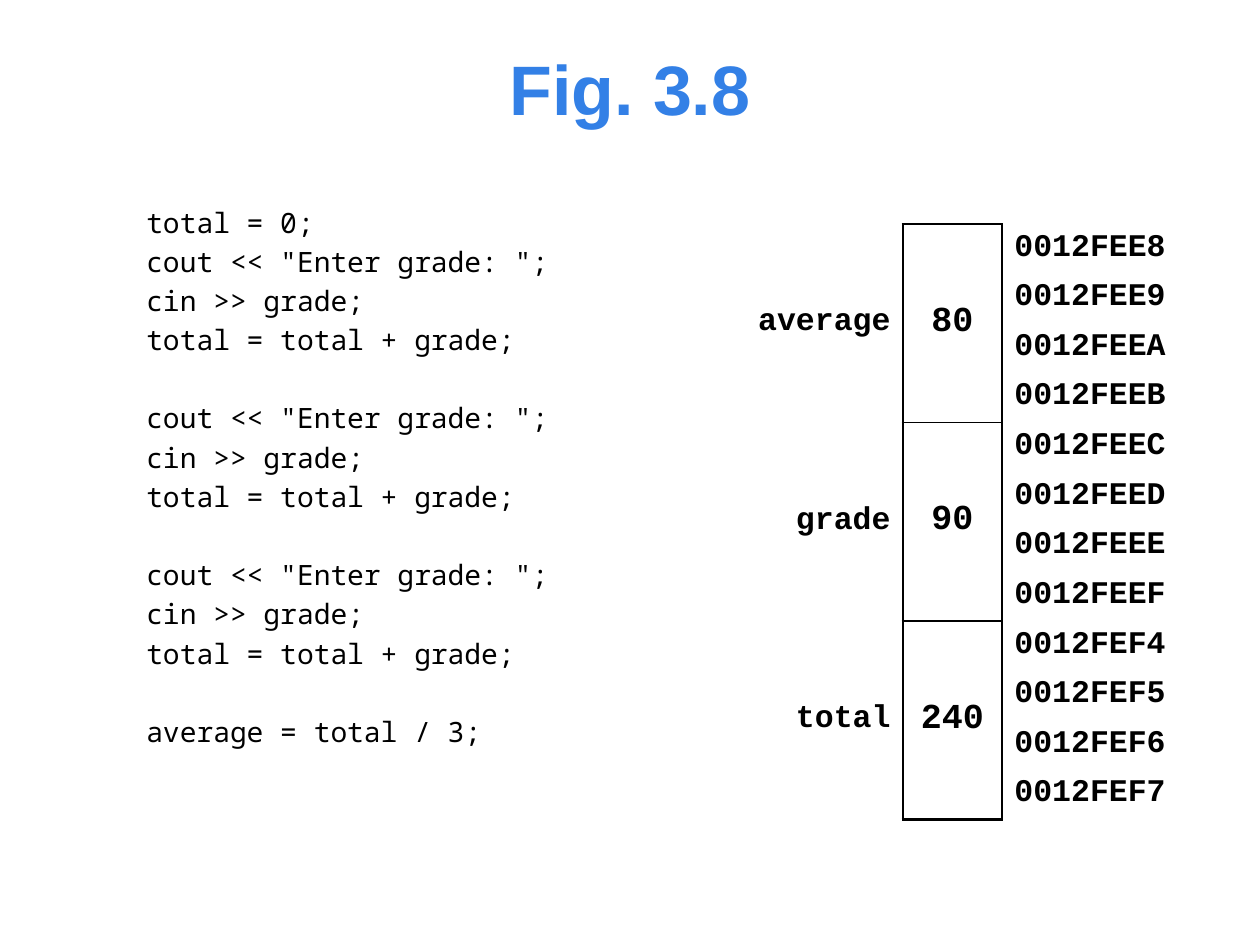
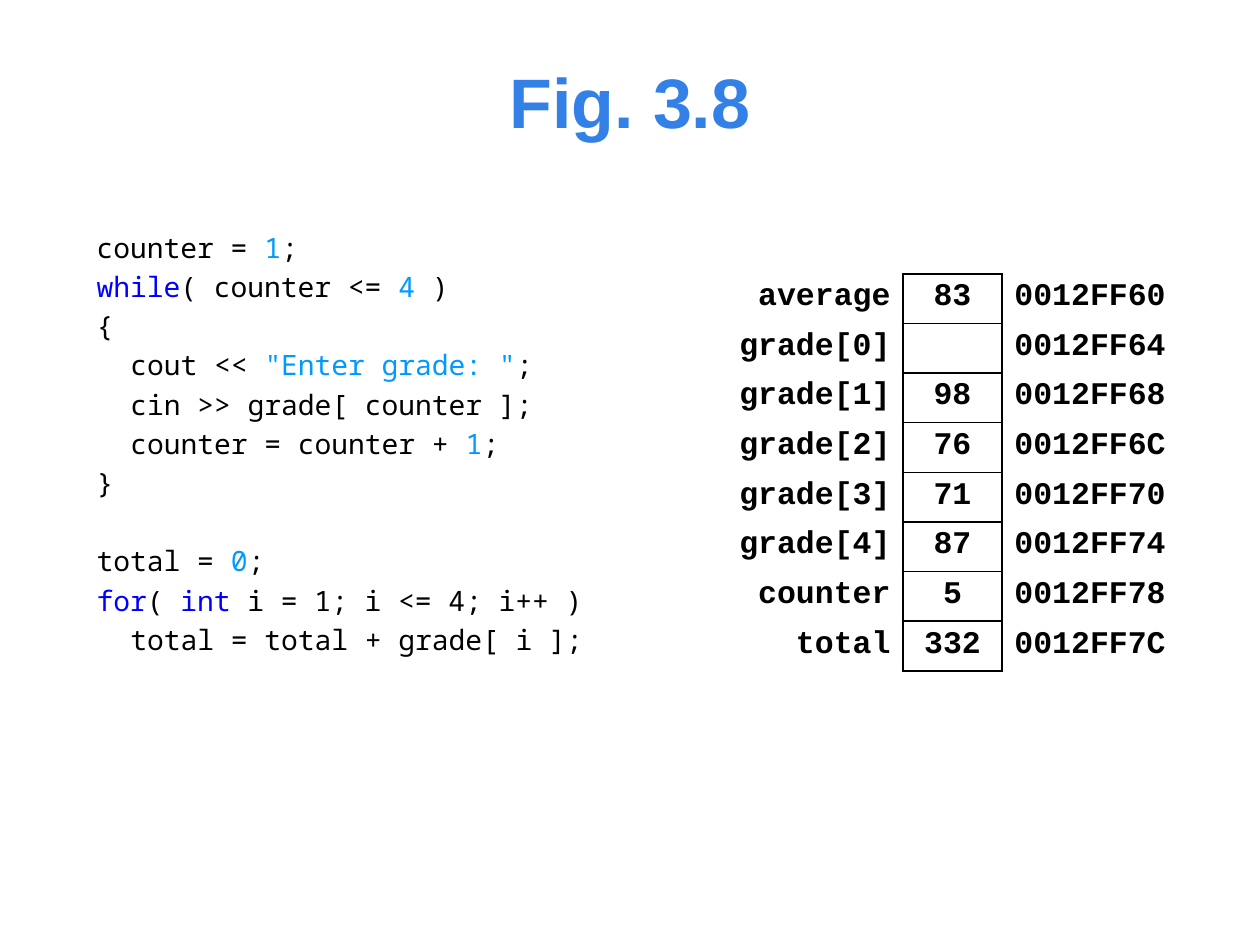
"""Build two slides that show C++ code beside the memory cells it fills."""
import lxml.etree
import pptx
import pptx.dml.color
import pptx.enum.text
import pptx.oxml.ns
import pptx.util

Cm = pptx.util.Cm
Pt = pptx.util.Pt
ALIGN = pptx.enum.text.PP_ALIGN
MIDDLE = pptx.enum.text.MSO_ANCHOR.MIDDLE
qn = pptx.oxml.ns.qn

BLACK, TITLE_BLUE, KEYWORD, LITERAL = "000000", "3380E6", "0000FF", "0099FF"
NO_STYLE = "{2D5ABB26-0587-4C30-8999-92F81FD0307C}"
INDENT_STEP = Cm(0.34)
ROW_HEIGHT = Cm(1)
LINE_GAP = 3.2
BLANK_LINE = 22.4


def style(font, name, size, color, bold=False):
    font.name, font.size, font.bold = name, Pt(size), bold
    font.color.rgb = pptx.dml.color.RGBColor.from_string(color)


def add_borders(cell, **widths):
    properties = cell._tc.get_or_add_tcPr()
    for side in "LRTB":
        if side in widths:
            line = lxml.etree.SubElement(properties, qn(f"a:ln{side}"), w=str(Pt(widths[side])))
            fill = lxml.etree.SubElement(line, qn("a:solidFill"))
            lxml.etree.SubElement(fill, qn("a:srgbClr"), val=BLACK)


read_grade = [
    [('cout << "Enter grade: ";', BLACK)],
    [("cin >> grade;", BLACK)],
    [("total = total + grade;", BLACK)],
    [],
]
sum_code = [[("total = 0;", BLACK)], *read_grade * 3, [("average = total / 3;", BLACK)]]

array_code = [
    [("counter = ", BLACK), ("1", LITERAL), (";", BLACK)],
    [("while", KEYWORD), ("( counter <= ", BLACK), ("4", LITERAL), (" )", BLACK)],
    [("{", BLACK)],
    [("  cout << ", BLACK), ('"Enter grade: "', LITERAL), (";", BLACK)],
    [("  cin >> grade[ counter ];", BLACK)],
    [("  counter = counter + ", BLACK), ("1", LITERAL), (";", BLACK)],
    [("}", BLACK)],
    [],
    [("total = ", BLACK), ("0", LITERAL), (";", BLACK)],
    [("for", KEYWORD), ("( ", BLACK), ("int ", KEYWORD), ("i = 1; i <= 4; i++ )", BLACK)],
    [("  total = total + grade[ i ];", BLACK)],
]

sum_memory = [
    ("average", "80", ["0012FEE8", "0012FEE9", "0012FEEA", "0012FEEB"]),
    ("grade", "90", ["0012FEEC", "0012FEED", "0012FEEE", "0012FEEF"]),
    ("total", "240", ["0012FEF4", "0012FEF5", "0012FEF6", "0012FEF7"]),
]
array_memory = [
    ("average", "83", ["0012FF60"]),
    ("grade[0]", "", ["0012FF64"]),
    ("grade[1]", "98", ["0012FF68"]),
    ("grade[2]", "76", ["0012FF6C"]),
    ("grade[3]", "71", ["0012FF70"]),
    ("grade[4]", "87", ["0012FF74"]),
    ("counter", "5", ["0012FF78"]),
    ("total", "332", ["0012FF7C"]),
]

pages = [
    dict(title_height=2.46, code=sum_code, code_box=(2.7, 4.01, 10, 13),
         memory=sum_memory, memory_at=(14.7, 4.52), columns=(3.5, 2, 4), value_size=20),
    dict(title_height=3, code=array_code, code_box=(1.7, 4.52, 12, 10.5),
         memory=array_memory, memory_at=(14.2, 5.52), columns=(4, 2, 3.5), value_size=18),
]

deck = pptx.Presentation()
deck.slide_width, deck.slide_height = Cm(25.4), Cm(19.05)

for page in pages:
    slide = deck.slides.add_slide(deck.slide_layouts[6])

    title = slide.shapes.add_textbox(Cm(0.7), Cm(0.53), Cm(24), Cm(page["title_height"])).text_frame
    title.word_wrap = True
    title.vertical_anchor = MIDDLE
    heading = title.paragraphs[0]
    heading.text = "Fig. 3.8"
    heading.alignment = ALIGN.CENTER
    style(heading.font, "Arial", 40, TITLE_BLUE, True)

    code = slide.shapes.add_textbox(*map(Cm, page["code_box"])).text_frame
    code.word_wrap = True
    statement = code.paragraphs[0]
    space = LINE_GAP
    for number, pieces in enumerate(page["code"]):
        if not pieces:
            space += BLANK_LINE
            continue
        if number:
            statement = code.add_paragraph()
        statement.space_before = Pt(space)
        space = LINE_GAP
        first = pieces[0][0]
        depth = len(first) - len(first.lstrip())
        statement._p.get_or_add_pPr().set("marL", str(depth * INDENT_STEP))
        style(statement.font, "Noto Sans Mono", 16, BLACK)
        for position, (text, color) in enumerate(pieces):
            run = statement.add_run()
            run.text = text if position else text.lstrip()
            if color != BLACK:
                style(run.font, "Noto Sans Mono", 16, color)

    memory = page["memory"]
    row_count = sum(len(addresses) for _, _, addresses in memory)
    left, top = map(Cm, page["memory_at"])
    table = slide.shapes.add_table(row_count, 3, left, top, Cm(sum(page["columns"])),
                                   row_count * ROW_HEIGHT).table
    table.first_row = table.horz_banding = False
    table._tbl.tblPr.find(qn("a:tableStyleId")).text = NO_STYLE
    for column, width in zip(table.columns, page["columns"]):
        column.width = Cm(width)
    for row in table.rows:
        row.height = ROW_HEIGHT

    start = 0
    for variable, value, addresses in memory:
        end = start + len(addresses)
        above = 1.5 if start == 0 else 1
        below = 1.5 if end == row_count else 1
        for row, address in enumerate(addresses, start):
            edges = dict(L=1.5, R=1.5)
            if row == start:
                edges["T"] = above
            if row == start or row == end - 1:
                edges["B"] = below
            add_borders(table.cell(row, 0), R=1.5)
            add_borders(table.cell(row, 1), **edges)
            add_borders(table.cell(row, 2), L=1.5)

            opening = row == start
            entries = [(variable if opening else "", ALIGN.RIGHT, 18, 0.25),
                       (value if opening else "", ALIGN.CENTER, page["value_size"], 0.25),
                       (address, ALIGN.LEFT, 18, 0.1)]
            for column, (text, alignment, size, right_margin) in enumerate(entries):
                cell = table.cell(row, column)
                cell.fill.background()
                cell.vertical_anchor = MIDDLE
                cell.margin_left, cell.margin_right = Cm(0.25), Cm(right_margin)
                cell.margin_top, cell.margin_bottom = Cm(0), Cm(0.05)
                entry = cell.text_frame.paragraphs[0]
                entry.text = text
                entry.alignment = alignment
                style(entry.font, "Courier New", size, BLACK, True)
        if len(addresses) > 1:
            for column in (0, 1):
                table.cell(start, column).merge(table.cell(end - 1, column))
        start = end

deck.save("out.pptx")
